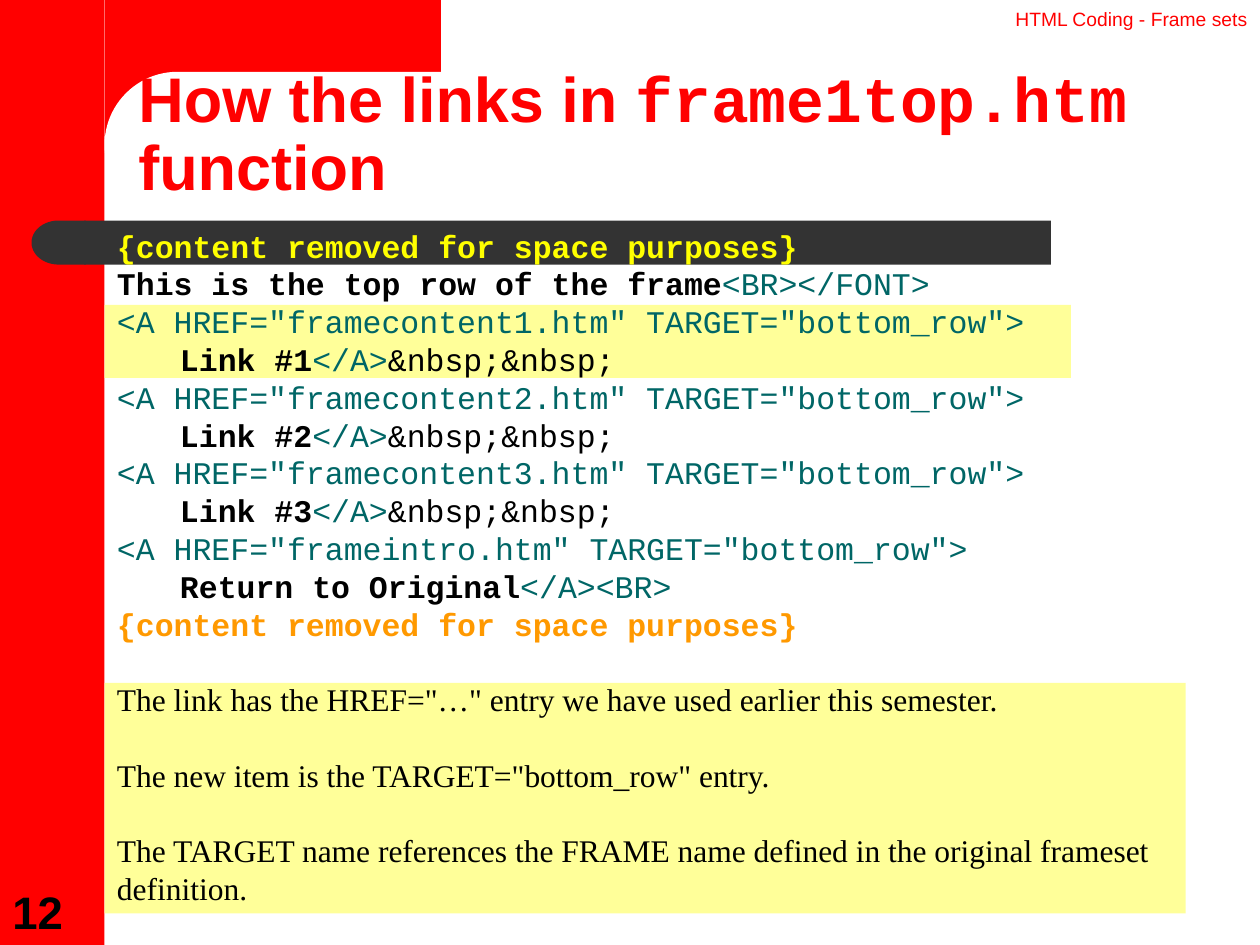
"""Build the slide on how the links in frame1top.htm function."""
from pptx import Presentation
from pptx.dml.color import RGBColor as RGB
from pptx.enum.shapes import MSO_SHAPE as Kind
from pptx.enum.text import MSO_ANCHOR as Anchor, PP_ALIGN as Align
from pptx.util import Inches, Pt

RED = RGB(0xFF, 0x00, 0x00)
DARK = RGB(0x33, 0x33, 0x33)
WHITE = RGB(0xFF, 0xFF, 0xFF)
CREAM = RGB(0xFF, 0xFF, 0x99)
YELLOW = RGB(0xFF, 0xFF, 0x00)
ORANGE = RGB(0xFF, 0x99, 0x00)
TEAL = RGB(0x00, 0x66, 0x66)
BLACK = RGB(0x00, 0x00, 0x00)

SANS, MONO, SERIF = "Arial", "Courier New", "Times New Roman"
HEAD = dict(name=SANS, size=Pt(36), bold=True, color=RED)
CODE = dict(name=MONO, size=Pt(18), bold=False, color=TEAL)
BOLD = CODE | dict(bold=True, color=BLACK)
PLAIN = CODE | dict(color=BLACK)
NOTE = PLAIN | dict(name=SERIF)
TOPIC = dict(name=SANS, size=Pt(11), bold=False, color=RED)
PAGE = dict(name=SANS, size=Pt(26), bold=True, color=BLACK)

SHAPES = [
    (Kind.RECTANGLE, (0, 0, 0.83, 7.5), RED),
    (Kind.RECTANGLE, (0.83, 0, 2.67, 1.08), RED),
    (Kind.RECTANGLE, (0.67, 1.75, 7.67, 0.35), DARK),
    (Kind.FLOWCHART_DELAY, (0.25, 1.75, 0.43, 0.35), DARK),
    (Kind.ROUNDED_RECTANGLE, (0.83, 0.57, 9.17, 1.16), WHITE),
    (Kind.RECTANGLE, (0.83, 5.42, 8.58, 1.83), CREAM),
    (Kind.RECTANGLE, (0.83, 2.42, 7.67, 0.58), CREAM),
]
TITLE = [("How the links in ", HEAD), ("frame1top.htm", HEAD | dict(name=MONO)),
         (" function", HEAD)]
CUT = "{content removed for space purposes}"
GAP = "&nbsp;&nbsp;"
LINKS = [
    ("framecontent1.htm", "Link #1", "</A>", GAP),
    ("framecontent2.htm", "Link #2", "</A>", GAP),
    ("framecontent3.htm", "Link #3", "</A>", GAP),
    ("frameintro.htm", "Return to Original", "</A><BR>", ""),
]
NOTES = [
    'The link has the HREF="…" entry we have used earlier this semester.',
    'The new item is the TARGET="bottom_row" entry.',
    "The TARGET name references the FRAME name defined in the original "
    "frameset definition.",
]


def add_text(slide, box, paras, anchor=Anchor.TOP, align=Align.LEFT, pitch=None):
    frame = slide.shapes.add_textbox(*map(Inches, box)).text_frame
    frame.word_wrap = True
    frame.vertical_anchor = anchor
    for i, (runs, space) in enumerate(paras):
        para = frame.paragraphs[0] if i == 0 else frame.add_paragraph()
        form = dict(alignment=align, line_spacing=pitch, space_before=space)
        for key, value in form.items():
            setattr(para, key, value)
        for words, style in runs:
            run = para.add_run()
            run.text = words
            for key, value in style.items():
                if key == "color":
                    run.font.color.rgb = value
                else:
                    setattr(run.font, key, value)


def list_code():
    lines = [[(CUT, BOLD | dict(color=YELLOW))],
             [("This is the top row of the frame", BOLD), ("<BR></FONT>", CODE)]]
    for page, label, close, tail in LINKS:
        lines.append([(f'<A HREF="{page}" TARGET="bottom_row">', CODE)])
        parts = [("\t" + label, BOLD), (close, CODE), (tail, PLAIN)]
        lines.append([part for part in parts if part[0]])
    lines.append([(CUT, BOLD | dict(color=ORANGE))])
    return lines


def main():
    deck = Presentation()
    deck.slide_width, deck.slide_height = Inches(10), Inches(7.5)
    slide = deck.slides.add_slide(deck.slide_layouts[6])
    for kind, box, color in SHAPES:
        shape = slide.shapes.add_shape(kind, *map(Inches, box))
        shape.shadow.inherit = False
        shape.fill.solid()
        shape.fill.fore_color.rgb = color
        shape.line.fill.background()
        if kind == Kind.FLOWCHART_DELAY:
            shape.rotation = 180
        if kind == Kind.ROUNDED_RECTANGLE:
            shape.adjustments[0] = 0.5

    pitch = Pt(21.6)
    body = [(line, Pt(0)) for line in list_code()]
    body += [([(note, NOTE)], pitch) for note in NOTES]
    add_text(slide, (1, 0.58, 8.75, 1.08), [(TITLE, Pt(0))], Anchor.BOTTOM,
             pitch=Pt(38.9))
    add_text(slide, (0.83, 1.75, 8.92, 5.5), body, pitch=pitch)
    add_text(slide, (5.92, 0, 4.08, 0.29),
             [([("HTML Coding - Frame sets", TOPIC)], Pt(0))],
             Anchor.BOTTOM, Align.RIGHT)
    add_text(slide, (0, 6.96, 0.64, 0.54), [([("12", PAGE)], Pt(0))],
             Anchor.BOTTOM)
    deck.save("out.pptx")


if __name__ == "__main__":
    main()
